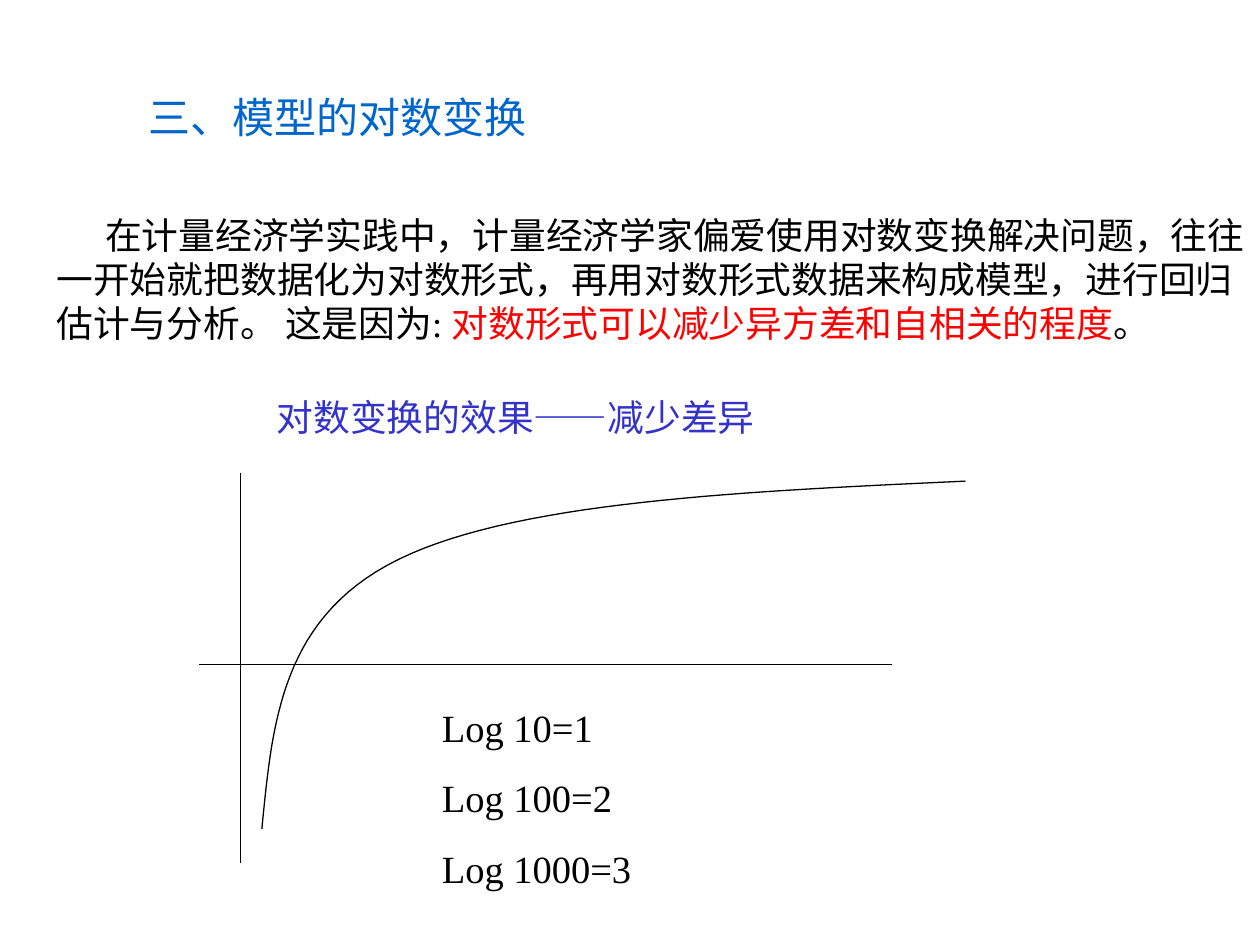
from lxml.etree import SubElement
from pptx import Presentation
from pptx.dml.color import RGBColor
from pptx.enum.shapes import MSO_CONNECTOR
from pptx.enum.text import PP_ALIGN
from pptx.oxml.ns import qn
from pptx.util import Cm, Pt

BLACK = RGBColor(0, 0, 0)
RED = RGBColor(0xFF, 0, 0)
BLUE = RGBColor(0, 0x66, 0xCC)
INDIGO = RGBColor(0x33, 0x33, 0xCC)
SERIF, SANS = "Times New Roman", "Noto Sans CJK SC"

TEXTS = [
    {"box": (8.66, 14.07, 9.73, 3.99), "font": SERIF, "size": 22,
     "paragraphs": [[("Log 10=1", BLACK)], [("Log 100=2", BLACK)],
                    [("Log 1000=3", BLACK)]],
     "gap": 13.8},
    {"box": (0, 3.94, 25.4, 4.95), "font": SERIF, "size": 21,
     "paragraphs": [[
         ("在计量经济学实践中，计量经济学家偏爱使用对数变换解决问题，"
          "往往一开始就把数据化为对数形式，再用对数形式数据来构成模型，"
          "进行回归估计与分析。 这是因为: ", BLACK),
         ("对数形式可以减少异方差和自相关的程度", RED),
         ("。", BLACK)]],
     "frame": {"margin_top": Cm(0.35)},
     "indent": {"marL": Cm(0.89), "indent": Cm(0.98)}},
    {"box": (5.28, 7.85, 10.4, 1.07), "font": SERIF, "size": 21,
     "paragraphs": [[("对数变换的效果——减少差异", INDIGO)]],
     "frame": {"margin_left": Cm(0.3), "margin_right": 0, "margin_top": Cm(0.1)}},
    {"box": (1.3, 1.73, 11.02, 1.09), "font": SANS, "size": 24,
     "paragraphs": [[("三、模型的对数变换", BLUE)]],
     "align": PP_ALIGN.CENTER},
]

AXES = [(4.85, 9.53, 4.85, 17.4), (4.01, 13.39, 17.98, 13.39)]
CURVE = [
    [(5.28, 16.71), (5.49, 14.58), (5.66, 12.45), (8.03, 11.28)],
    [(8.03, 11.28), (10.41, 10.11), (14.94, 9.91), (19.46, 9.7)],
]
STEPS = 30


def set_line(sp):
    sp.line.color.rgb = BLACK
    sp.line.width = Pt(0.75)


def add_text(s, item):
    tf = s.shapes.add_textbox(*map(Cm, item["box"])).text_frame
    for name, value in {"word_wrap": True, **item.get("frame", {})}.items():
        setattr(tf, name, value)
    for i, runs in enumerate(item["paragraphs"]):
        p = tf.add_paragraph() if i else tf.paragraphs[0]
        if i:
            p.space_before = Pt(item["gap"])
        p.alignment = item.get("align")
        for name, value in item.get("indent", {}).items():
            p._p.get_or_add_pPr().set(name, str(value))
        for text, color in runs:
            r = p.add_run()
            r.text = text
            for name, value in {"name": item["font"], "size": Pt(item["size"])}.items():
                setattr(r.font, name, value)
            r.font.color.rgb = color


def add_axis(s, ends):
    sp = s.shapes.add_connector(MSO_CONNECTOR.STRAIGHT, *map(Cm, ends))
    set_line(sp)
    SubElement(sp._element.spPr, qn("a:effectLst"))


def bezier(points, t):
    weights = ((1 - t) ** 3, 3 * t * (1 - t) ** 2, 3 * t ** 2 * (1 - t), t ** 3)
    return tuple(Cm(sum(w * v for w, v in zip(weights, values)))
                 for values in zip(*points))


def add_curve(s):
    points = [bezier(part, i / STEPS) for part in CURVE for i in range(1, STEPS + 1)]
    start = bezier(CURVE[0], 0)
    builder = s.shapes.build_freeform(*start)
    builder.add_line_segments(points, close=False)
    sp = builder.convert_to_shape()
    sp.shadow.inherit = False
    sp.fill.background()
    set_line(sp)


def main():
    prs = Presentation()
    prs.slide_width, prs.slide_height = Cm(25.4), Cm(19.05)
    s = prs.slides.add_slide(prs.slide_layouts[6])
    for ends in AXES:
        add_axis(s, ends)
    add_curve(s)
    for item in TEXTS:
        add_text(s, item)
    prs.save("out.pptx")


if __name__ == "__main__":
    main()
